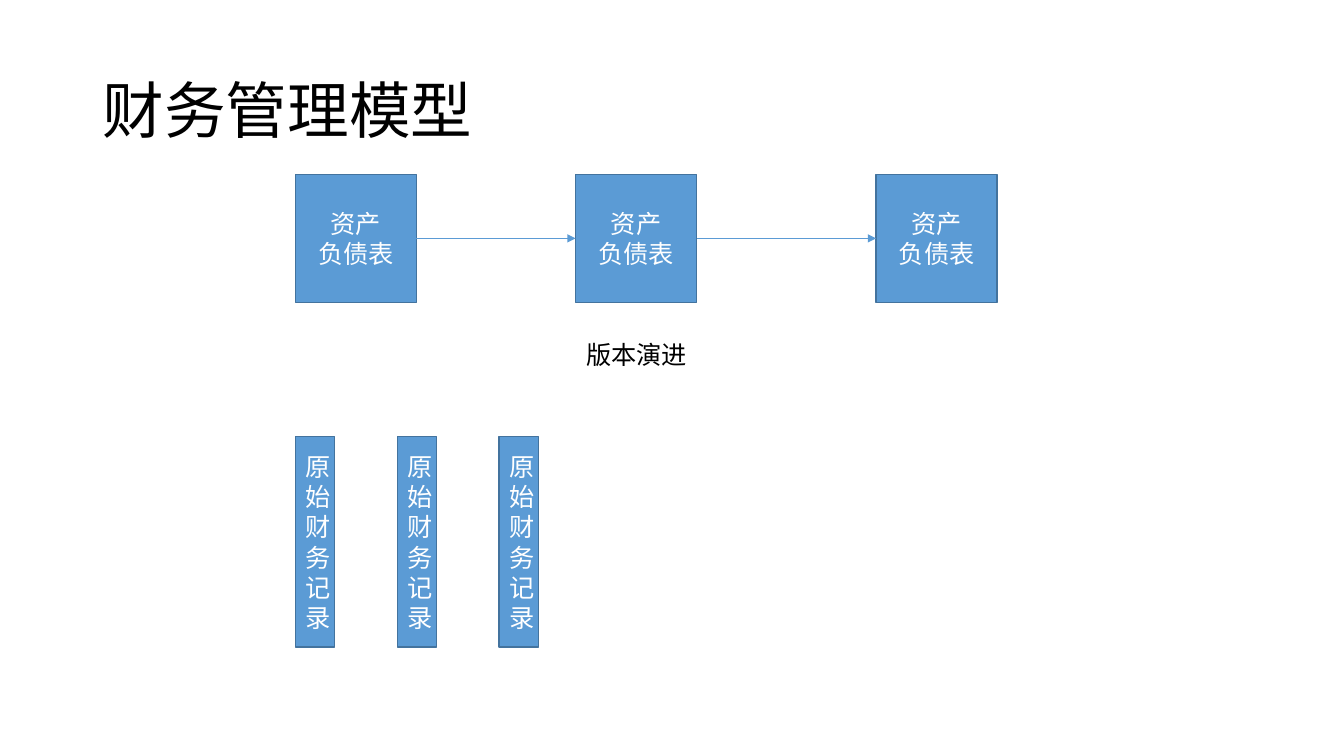
from lxml import etree
from pptx import Presentation
from pptx import util as u
from pptx.dml.color import RGBColor
from pptx.enum import shapes, text
from pptx.oxml import ns

BLACK = RGBColor(0x00, 0x00, 0x00)
WHITE = RGBColor(0xFF, 0xFF, 0xFF)
BLUE = RGBColor(0x5B, 0x9B, 0xD5)
DARK_BLUE = RGBColor(0x43, 0x73, 0x9E)

SHEET_LEFTS = (2.93, 5.71, 8.69)
SHEET_TOP, SHEET_WIDTH, SHEET_HEIGHT = 1.73, 1.2, 1.27
RECORD_LEFT, RECORD_STEP, RECORD_COUNT = 2.93, 1.01, 3


def write_text(frame, content, size=18, color=BLACK, font="Calibri",
               align=text.PP_ALIGN.CENTER, anchor=text.MSO_ANCHOR.MIDDLE,
               line_spacing=None):
    frame.word_wrap = True
    frame.vertical_anchor = anchor
    for index, line in enumerate(content.split("\n")):
        paragraph = frame.add_paragraph() if index else frame.paragraphs[0]
        paragraph.alignment = align
        paragraph.line_spacing = line_spacing
        run = paragraph.add_run()
        run.text = line
        run.font.name = font
        run.font.size = u.Pt(size)
        run.font.color.rgb = color


class ModelSlide:
    def __init__(self, slide, fill=BLUE, outline=DARK_BLUE):
        self.slide = slide
        self.fill = fill
        self.outline = outline

    def label(self, content, left, top, width, height, **text_format):
        box = self.slide.shapes.add_textbox(
            u.Inches(left), u.Inches(top), u.Inches(width), u.Inches(height))
        write_text(box.text_frame, content, **text_format)

    def box(self, content, left, top, width, height):
        shape = self.slide.shapes.add_shape(
            shapes.MSO_SHAPE.RECTANGLE,
            u.Inches(left), u.Inches(top), u.Inches(width), u.Inches(height))
        shape.shadow.inherit = False
        shape.fill.solid()
        shape.fill.fore_color.rgb = self.fill
        shape.line.color.rgb = self.outline
        shape.line.width = u.Pt(1)
        write_text(shape.text_frame, content, color=WHITE)
        return shape

    def arrow(self, start, end):
        connector = self.slide.shapes.add_connector(
            shapes.MSO_CONNECTOR.STRAIGHT, 0, 0, 0, 0)
        connector.begin_connect(start, 3)
        connector.end_connect(end, 1)
        connector.line.color.rgb = self.fill
        connector.line.width = u.Pt(0.5)
        properties = connector._element.spPr
        line = properties.find(ns.qn("a:ln"))
        etree.SubElement(line, ns.qn("a:tailEnd"), type="triangle")
        etree.SubElement(properties, ns.qn("a:effectLst"))


def main():
    presentation = Presentation()
    presentation.slide_width = u.Inches(13.33)
    presentation.slide_height = u.Inches(7.5)
    model = ModelSlide(presentation.slides.add_slide(presentation.slide_layouts[6]))

    model.label("财务管理模型", 0.92, 0.4, 11.5, 1.45, size=44,
                align=text.PP_ALIGN.LEFT, line_spacing=0.9)

    sheets = [model.box("资产\n负债表", left, SHEET_TOP, SHEET_WIDTH, SHEET_HEIGHT)
              for left in SHEET_LEFTS]
    for start, end in zip(sheets, sheets[1:]):
        model.arrow(start, end)

    model.label("版本演进", 5.61, 3.32, 1.41, 0.4, anchor=text.MSO_ANCHOR.TOP)

    for index in range(RECORD_COUNT):
        model.box("原始财务记录", RECORD_LEFT + index * RECORD_STEP, 4.33, 0.39, 2.09)

    presentation.save("out.pptx")


if __name__ == "__main__":
    main()
